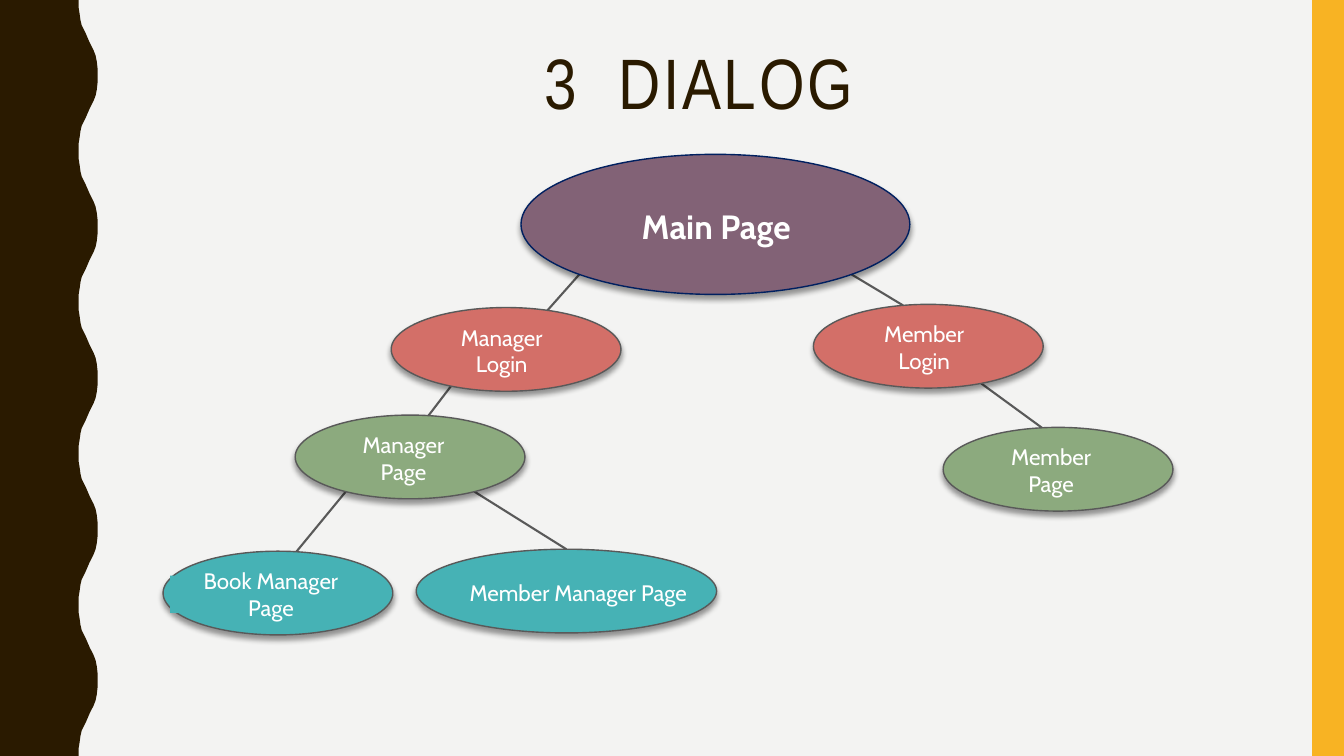
from collections import namedtuple
from math import sqrt

from lxml import etree
from pptx import Presentation
from pptx.dml.color import RGBColor
from pptx.enum.shapes import MSO_CONNECTOR, MSO_SHAPE
from pptx.enum.text import MSO_ANCHOR, MSO_AUTO_SIZE, PP_ALIGN
from pptx.oxml import parse_xml
from pptx.oxml.ns import nsdecls, qn
from pptx.util import Cm, Pt

OVAL, RECT = MSO_SHAPE.OVAL, MSO_SHAPE.RECTANGLE
STRAIGHT = MSO_CONNECTOR.STRAIGHT
CENTER, TOP, MIDDLE = PP_ALIGN.CENTER, MSO_ANCHOR.TOP, MSO_ANCHOR.MIDDLE
NO_FIT = MSO_AUTO_SIZE.NONE

PAPER = RGBColor(0xF3, 0xF3, 0xF2)
BROWN = RGBColor(0x2A, 0x1A, 0x00)
AMBER = RGBColor(0xF8, 0xB3, 0x23)
PLUM = RGBColor(0x82, 0x62, 0x76)
CORAL = RGBColor(0xD3, 0x6F, 0x68)
GREEN = RGBColor(0x8C, 0xAA, 0x7E)
TEAL = RGBColor(0x46, 0xB2, 0xB5)
NAVY = RGBColor(0x00, 0x20, 0x60)
GRAY = RGBColor(0x59, 0x59, 0x59)
WHITE = RGBColor(0xFF, 0xFF, 0xFF)

SLIDE_W, SLIDE_H = 33.87, 19.05
WAVE = 3.81  # height of one full wave, cm
# Right edge of the wavy band over its first half wave: (x, y) in cm
HALF_WAVE = [(1.98, 0), (1.98, 0.18), (2.01, 0.36), (2.03, 0.51),
             (2.06, 0.64), (2.11, 0.74), (2.16, 0.84), (2.26, 1.07),
             (2.36, 1.27), (2.41, 1.4), (2.44, 1.55), (2.46, 1.73)]

# Oval position and size in the diagram, then label offset, width and inset
Node = namedtuple("Node", "text color x y w h dx label_w label_h inset size",
                  defaults=(0.94, 0.38, 16))
W, H = 5.79, 2.11
NODES = {
    "main": Node("Main Page", PLUM, 9.02, 0, 9.8, 3.53, 2.62, 4.6, 1.27, 0, 24),
    "manager login": Node("Manager Login", CORAL, 5.75, 3.86, W, H, 0.84, 3.89),
    "manager": Node("Manager Page", GREEN, 3.33, 6.57, W, H, 0.89, 3.68),
    "members": Node("Member Manager Page", TEAL, 6.38, 9.95, 7.57, H, 1.09,
                    5.99, inset=0),
    "books": Node("Book Manager Page", TEAL, 0, 10, W, H, 0.18, 5.08),
    "member login": Node("Member Login", CORAL, 16.39, 3.78, W, H, 0.86, 3.86),
    "member": Node("Member Page", GREEN, 19.66, 6.88, W, H, 0.89, 3.66),
}
# Parent, share of its width, child, share of its width
EDGES = [("main", 0.15, "manager login", 0.68),
         ("main", 0.85, "member login", 0.39),
         ("manager login", 0.26, "manager", 0.58),
         ("manager", 0.22, "books", 0.58),
         ("manager", 0.78, "members", 0.5),
         ("member login", 0.73, "member", 0.43)]


def add_block(shapes, kind, x, y, w, h, color):
    """Add a flat filled shape without outline, in cm."""
    sp = shapes.add_shape(kind, Cm(x), Cm(y), Cm(w), Cm(h))
    sp.shadow.inherit = False
    sp.fill.solid()
    sp.fill.fore_color.rgb = color
    sp.line.fill.background()
    return sp


def add_run(p, text, font, size, color, bold=False, spacing=None):
    """Append one formatted run; spacing is in points."""
    r = p.add_run()
    r.text = text
    r.font.name, r.font.size, r.font.bold = font, Pt(size), bold
    r.font.color.rgb = color
    if spacing is not None:
        r.font._element.set("spc", str(int(spacing * 100)))


def add_wave_band(s, x, y, h):
    """Draw the wavy band down the left side."""
    period = HALF_WAVE + [(px, WAVE - py) for px, py in HALF_WAVE[:0:-1]]
    edge = [(px, py + i * WAVE) for i in range(round(h / WAVE))
            for px, py in period]
    edge += [(HALF_WAVE[0][0], h), (0, h)]
    fb = s.shapes.build_freeform(Cm(x), Cm(y), scale=1.0)
    fb.add_line_segments([(Cm(x + px), Cm(y + py)) for px, py in edge])
    sp = fb.convert_to_shape()
    sp.shadow.inherit = False
    sp.fill.solid()
    sp.fill.fore_color.rgb = BROWN
    sp.line.fill.background()


def add_title(s, x, y, w, h):
    """Place and format the slide title."""
    sp = s.shapes.title
    sp.left, sp.top, sp.width, sp.height = Cm(x), Cm(y), Cm(w), Cm(h)
    tf = sp.text_frame
    tf.word_wrap, tf.auto_size, tf.vertical_anchor = True, NO_FIT, TOP
    p = tf.paragraphs[0]
    p.alignment, p.line_spacing = CENTER, 0.9
    for text, spacing in (("3", 2), (" ", 15.6), ("DIALOG", 2)):
        add_run(p, text, "Arial Narrow", 51, BROWN, spacing=spacing)


def add_node(s, node, x, y):
    """Group a shadowed oval with its label at x, y."""
    shapes = s.shapes.add_group_shape().shapes
    oval = add_block(shapes, OVAL, x, y, node.w, node.h, node.color)
    oval.line.color.rgb = NAVY if node.color == PLUM else GRAY
    oval.line.width = Pt(1)
    effects = oval._element.spPr.find(qn("a:effectLst"))
    effects.append(parse_xml(
        f'<a:outerShdw {nsdecls("a")} blurRad="50800" dist="38100" '
        'dir="5400000" rotWithShape="0"><a:srgbClr val="000000">'
        '<a:alpha val="40000"/></a:srgbClr></a:outerShdw>'))
    label = add_block(shapes, RECT, x + node.dx,
                      y + (node.h - node.label_h) / 2 + 0.03,
                      node.label_w, node.label_h, node.color)
    tf = label.text_frame
    tf.word_wrap, tf.vertical_anchor = True, MIDDLE
    tf.margin_left = tf.margin_right = Cm(node.inset)
    p = tf.paragraphs[0]
    p.alignment = CENTER
    add_run(p, node.text, "Cabin", node.size, WHITE, bold=node.size > 16)


def rim(node, share, side):
    """Return the point on an oval's rim; side is 1 for bottom, -1 for top."""
    rise = sqrt(1 - (2 * share - 1) ** 2)
    return (node.x + share * node.w, node.y + node.h / 2 * (1 + side * rise))


def add_diagram(s, x, y):
    """Draw the page tree with its top left corner at x, y."""
    for parent, start, child, end in EDGES:
        x1, y1 = rim(NODES[parent], start, 1)
        x2, y2 = rim(NODES[child], end, -1)
        line = s.shapes.add_connector(STRAIGHT, Cm(x + x1), Cm(y + y1),
                                      Cm(x + x2), Cm(y + y2))
        line.line.color.rgb = GRAY
        line.line.width = Pt(1.5)
        etree.SubElement(line._element.spPr, qn("a:effectLst"))
    for node in NODES.values():
        add_node(s, node, x + node.x, y + node.y)


def build_dialog_slide(prs):
    """Build the dialog structure slide."""
    s = prs.slides.add_slide(prs.slide_layouts[5])
    s.background.fill.solid()
    s.background.fill.fore_color.rgb = PAPER
    add_wave_band(s, 0, 0, SLIDE_H)
    add_block(s.shapes, RECT, 33.07, 0, SLIDE_W - 33.07, SLIDE_H, AMBER)
    add_title(s, 3.48, 1.07, 28.27, 4.14)
    add_diagram(s, 4.11, 3.89)


prs = Presentation()
prs.slide_width, prs.slide_height = Cm(SLIDE_W), Cm(SLIDE_H)
build_dialog_slide(prs)
prs.save("out.pptx")
